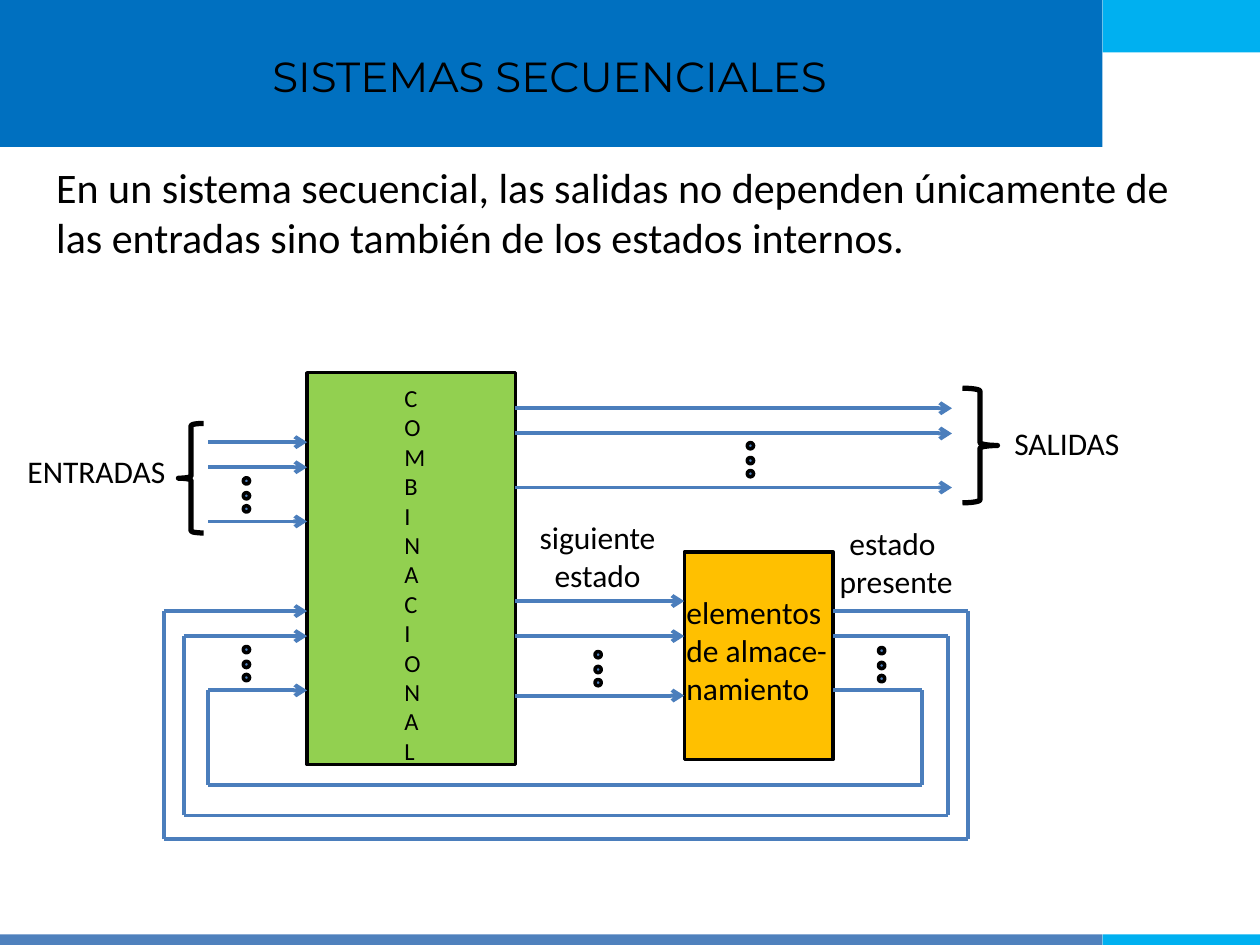
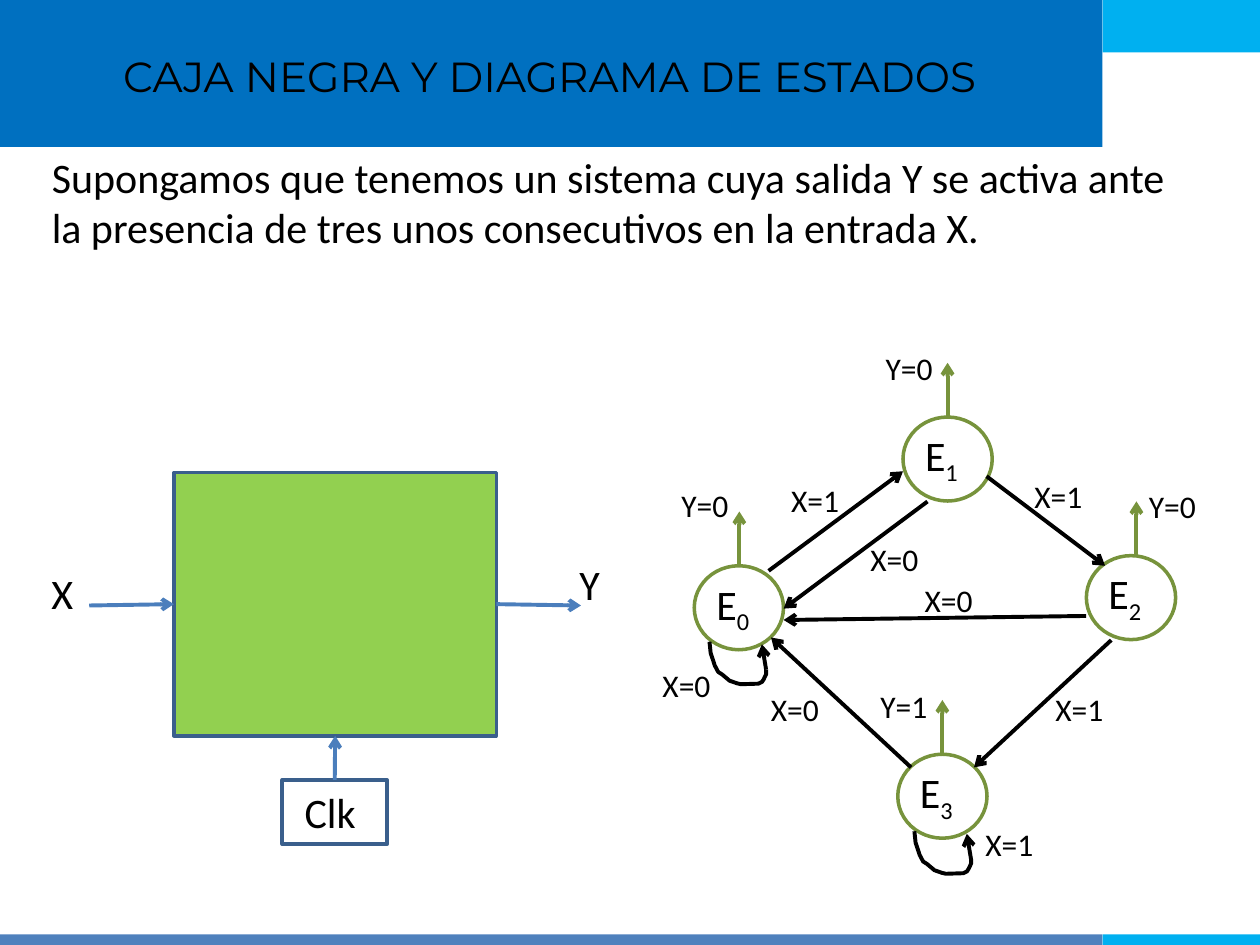
import itertools

import lxml.etree
import pptx
import pptx.dml.color
import pptx.enum.shapes
import pptx.enum.text
import pptx.oxml.ns
import pptx.util

Pt = pptx.util.Pt
SHAPE = pptx.enum.shapes.MSO_SHAPE
ALIGN = pptx.enum.text.PP_ALIGN
qn = pptx.oxml.ns.qn

COLORS = {
    "title band": "0070C0", "accent": "00B0F0", "footer": "4F81BD",
    "block": "92D050", "memory": "FFC000", "wire": "4B7EBC",
    "outline": "3A5F8C", "state": "77933C", "black": "000000",
}
RGB = {name: pptx.dml.color.RGBColor.from_string(code) for name, code in COLORS.items()}


def add_box(shapes, kind, box, fill=None, line=None, weight=2,
            text=None, size=18, align=None, wrap=True):
    """Add a preset shape, or a text box when kind is None."""
    frame = [Pt(value) for value in box]
    if kind is None:
        label = shapes.add_textbox(*frame)
        label.text_frame.text = text
        label.text_frame.word_wrap = wrap
        label.text_frame.auto_size = pptx.enum.text.MSO_AUTO_SIZE.SHAPE_TO_FIT_TEXT
        for paragraph in label.text_frame.paragraphs:
            paragraph.alignment = align
            for run in paragraph.runs:
                run.font.name = "Calibri"
                run.font.size = Pt(size)
                run.font.color.rgb = RGB["black"]
        return label
    figure = shapes.add_shape(kind, *frame)
    figure.shadow.inherit = False
    if fill:
        figure.fill.solid()
        figure.fill.fore_color.rgb = RGB[fill]
    else:
        figure.fill.background()
    if line:
        figure.line.color.rgb = RGB[line]
        figure.line.width = Pt(weight)
    else:
        figure.line.fill.background()
    return figure


def add_wire(shapes, start, end, color="wire", arrow=True):
    """Add a straight line, with an open arrowhead at its end if wanted."""
    wire = shapes.add_connector(pptx.enum.shapes.MSO_CONNECTOR.STRAIGHT,
                                *[Pt(value) for value in (*start, *end)])
    wire.line.color.rgb = RGB[color]
    wire.line.width = Pt(2.25)
    if arrow:
        lxml.etree.SubElement(wire.line._get_or_add_ln(), qn("a:tailEnd"), type="arrow")
    lxml.etree.SubElement(wire._element.spPr, qn("a:effectLst"))
    return wire


deck = pptx.Presentation()
deck.slide_width, deck.slide_height = Pt(720), Pt(540)

# Bands, title and introduction of both slides
BANDS = [
    ((0, 0, 630, 84), "title band"), ((630, 0, 90, 30), "accent"),
    ((0, 534, 630, 6), "footer"), ((630, 534, 90, 6), "accent"),
]
INTRODUCTIONS = [
    ("SISTEMAS SECUENCIALES", (25, 88.5),
     "En un sistema secuencial, las salidas no dependen únicamente de "
     "las entradas sino también de los estados internos."),
    ("CAJA NEGRA Y DIAGRAMA DE ESTADOS", (22.5, 83),
     "Supongamos que tenemos un sistema cuya salida Y se activa ante "
     "la presencia de tres unos consecutivos en la entrada X."),
]
for heading, corner, introduction in INTRODUCTIONS:
    slide = deck.slides.add_slide(deck.slide_layouts[5])
    title = slide.shapes.title
    bands = slide.shapes.add_group_shape()
    for box, color in BANDS:
        add_box(bands.shapes, SHAPE.RECTANGLE, box, color)
    title.element.addprevious(bands.element)
    title.left, title.top, title.width, title.height = Pt(8), Pt(8), Pt(612), Pt(70)
    title.text_frame.text = heading
    title.text_frame.vertical_anchor = pptx.enum.text.MSO_ANCHOR.MIDDLE
    title.text_frame.paragraphs[0].alignment = ALIGN.CENTER
    title_font = title.text_frame.paragraphs[0].runs[0].font
    title_font.name, title_font.size = "Montserrat", Pt(24)
    title_font.color.rgb = RGB["black"]
    add_box(slide.shapes, None, (*corner, 666, 65.5), text=introduction, size=24)

sequential, diagram = [slide.shapes for slide in deck.slides]

# Slide 1: combinational block and storage elements
LOGIC_LEFT, LOGIC_RIGHT = 175.5, 294.5
MEMORY_LEFT, MEMORY_RIGHT = 391, 476
add_box(sequential, SHAPE.RECTANGLE,
        (LOGIC_LEFT, 213, LOGIC_RIGHT - LOGIC_LEFT, 224), "block", "black")
add_box(sequential, SHAPE.RECTANGLE,
        (MEMORY_LEFT, 315.5, MEMORY_RIGHT - MEMORY_LEFT, 118.5), "memory", "black")

# Inputs, outputs and next state: three arrows each
BUNDLES = [
    (119, LOGIC_LEFT, (252.7, 267, 298)),
    (LOGIC_RIGHT, 544, (233.3, 247.7, 278.6)),
    (LOGIC_RIGHT, MEMORY_LEFT, (343.5, 363.5, 397.5)),
]
for start_x, end_x, heights in BUNDLES:
    for y in heights:
        add_wire(sequential, (start_x, y), (end_x, y))

# Feedback loops from the storage elements to the combinational block
LOOPS = [
    (93.6, 553, 349.2, 479.5),
    (105, 541.5, 363.5, 466),
    (119, 527, 394.5, 448.5),
]
for left, right, top, bottom in LOOPS:
    corners = [(MEMORY_RIGHT, top), (right, top), (right, bottom),
               (left, bottom), (left, top), (LOGIC_LEFT, top)]
    for start, end in itertools.pairwise(corners):
        add_wire(sequential, start, end, arrow=end == corners[-1])

# Dots standing for the remaining wires
for x, top in [(139, 273), (139, 369.4), (502, 370), (340, 372.3), (427, 252.9)]:
    for step in (0, 8.5, 16):
        add_box(sequential, SHAPE.OVAL, (x, top + step, 3.6, 3.6), "footer", "black")

# Braces and labels
add_box(sequential, SHAPE.RIGHT_BRACE, (550, 221.8, 20, 65.5), line="black", weight=3)
add_box(sequential, SHAPE.LEFT_BRACE, (102, 242, 14.4, 62.6), line="black", weight=3)
for box, text, size, align, wrap in [
    ((224, 215.3, 34, 227.5), "\n".join("COMBINACIONAL"), 14, None, True),
    ((471, 296, 82, 51), "estado \npresente", 18, ALIGN.CENTER, True),
    ((297.5, 292.3, 88, 51), "siguiente\nestado", 18, ALIGN.CENTER, True),
    ((385.2, 335.5, 95.8, 72.7), "elementos\nde almace-\nnamiento", 18, None, False),
    ((8.6, 255, 93.6, 29), "ENTRADAS", 18, None, True),
    ((572.5, 239, 93.6, 29), "SALIDAS", 18, None, True),
]:
    add_box(sequential, None, box, text=text, size=size, align=align, wrap=wrap)

# Slide 2: black box with its clock, input and output
black_box = add_box(diagram, SHAPE.RECTANGLE, (99.4, 270, 184.3, 150.5), "block", "outline")
clock = add_box(diagram, SHAPE.RECTANGLE, (161.3, 445.7, 60, 36.7), line="outline")
add_wire(diagram, (51, 346), (99.4, 346)).end_connect(black_box, 1)
add_wire(diagram, (283.7, 346), (332, 346)).begin_connect(black_box, 3)
clock_wire = add_wire(diagram, (190, 445.7), (190, 420.5))
clock_wire.begin_connect(clock, 0)
clock_wire.end_connect(black_box, 2)
for box, text in [((22.3, 321, 27.4, 36), "X"), ((324, 315.4, 27.4, 36), "Y"),
                  ((167, 445.7, 44, 36), "Clk")]:
    add_box(diagram, None, box, text=text, size=24, wrap=False)

# States: corner, x of the output arrow, output value and its place
STATES = [
    ((396.7, 323.3), 422.5, "Y=0", (382.3, 274.3)),
    ((516, 238.3), 541.5, "Y=0", (499, 195.8)),
    ((620.8, 317.5), 649.4, "Y=0", (649.4, 275)),
    ((513, 431), 538.5, "Y=1", (496, 388.8)),
]
for number, ((x, y), output_x, output, output_place) in enumerate(STATES):
    add_box(diagram, SHAPE.OVAL, (x, y, 51, 48), line="state")
    state_name = add_box(diagram, None, (x + 5.5, y + 3.5, 39.6, 36), text="E", size=24)
    subscript = state_name.text_frame.paragraphs[0].add_run()
    subscript.text = str(number)
    subscript.font.name, subscript.font.size = "Calibri", Pt(24)
    subscript.font.color.rgb = RGB["black"]
    subscript._r.get_or_add_rPr().set("baseline", "-25000")
    add_wire(diagram, (output_x, y), (output_x, y - 31), "state")
    add_box(diagram, None, (*output_place, 45, 29), text=output)

# Transitions between states
TRANSITIONS = [
    ((439.2, 326.2), (516, 269.3), "X=1", (445, 271.5)),
    ((563.8, 272.2), (631.5, 323.3), "X=1", (584, 269.3)),
    ((530, 286.6), (447.8, 347.8), "X=0", (490.3, 305.3)),
    ((620.6, 352), (447.8, 354.3), "X=0", (521.3, 328.3)),
    ((635, 365.8), (556.6, 438.5), "X=1", (596, 391)),
    ((520.6, 438.5), (440.6, 364.3), "X=0", (433.4, 391)),
]
for start, end, condition, place in TRANSITIONS:
    add_wire(diagram, start, end, "black")
    add_box(diagram, None, (*place, 44, 29), text=condition)

# Transitions of E0 and E3 back to themselves
SELF_LOOP = [(0, 0), (0.7, 6.5), (2.2, 11), (3, 13.5), (5, 17.3), (7.2, 18.7),
             (11.5, 22.3), (15.8, 23.8), (18, 24.3), (28, 24), (30, 23),
             (31, 21.5), (32.4, 18.5), (32.4, 16)]
for (x, y), condition, place in [((405.4, 366.7), "X=0", (371.5, 377.3)),
                                 ((522.5, 475), "X=1", (556, 468))]:
    curve = [(Pt(x + dx), Pt(y + dy)) for dx, dy in SELF_LOOP]
    builder = diagram.build_freeform(*curve[0], scale=1.0)
    builder.add_line_segments(curve[1:], close=False)
    self_loop = builder.convert_to_shape()
    self_loop.shadow.inherit = False
    self_loop.fill.background()
    self_loop.line.color.rgb = RGB["black"]
    self_loop.line.width = Pt(2.25)
    add_wire(diagram, (x + 32.4, y + 16), (x + 30, y + 1.5), "black")
    add_box(diagram, None, (*place, 44, 29), text=condition)

deck.save("out.pptx")
